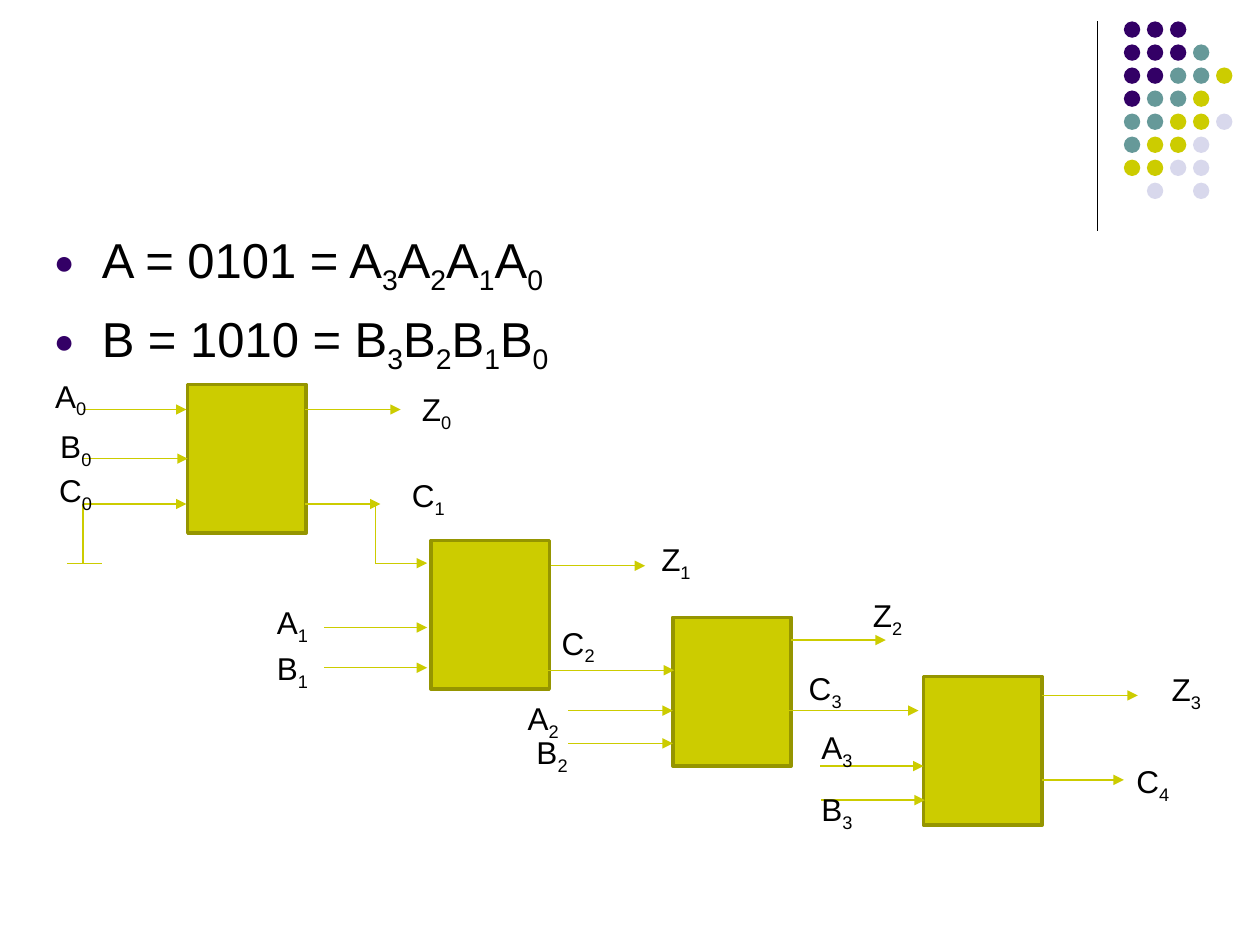
from dataclasses import dataclass

from lxml import etree
from pptx import Presentation
from pptx.dml.color import RGBColor
from pptx.enum.shapes import MSO_CONNECTOR, MSO_SHAPE
from pptx.enum.text import MSO_AUTO_SIZE
from pptx.oxml.ns import qn
from pptx.util import Inches, Pt

STRAIGHT = MSO_CONNECTOR.STRAIGHT
RECT, OVAL = MSO_SHAPE.RECTANGLE, MSO_SHAPE.OVAL
GROW = MSO_AUTO_SIZE.SHAPE_TO_FIT_TEXT
LEFT_SIDE = 1


@dataclass(frozen=True)
class Theme:
    font: str = "Arial"
    text: str = "000000"
    accent: str = "CCCC00"
    edge: str = "959500"
    purple: str = "330066"
    teal: str = "669999"
    pale: str = "D8D8EC"
    body_size: int = 28
    label_size: int = 18
    wire_width: float = 0.75
    edge_width: int = 2


def rgb(value):
    return RGBColor.from_string(value)


class Deck:
    def __init__(self, slide, theme):
        self.slide = slide
        self.theme = theme

    def shape(self, kind, at, fill, edge=None):
        sp = self.slide.shapes.add_shape(kind, *map(Inches, at))
        sp.shadow.inherit = False
        sp.fill.solid()
        sp.fill.fore_color.rgb = rgb(fill)
        if edge:
            sp.line.color.rgb = rgb(edge)
            sp.line.width = Pt(self.theme.edge_width)
        else:
            sp.line.fill.background()
        return sp

    def line(self, start, end, color=None, arrow=False):
        cx = self.slide.shapes.add_connector(STRAIGHT, *map(Inches, start + end))
        cx.line.color.rgb = rgb(color or self.theme.accent)
        cx.line.width = Pt(self.theme.wire_width)
        if arrow:
            etree.SubElement(cx.line._get_or_add_ln(), qn("a:tailEnd"), type="triangle")
        etree.SubElement(cx._element.spPr, qn("a:effectLst"))
        return cx

    def runs(self, p, parts, size):
        for text, baseline in parts:
            r = p.add_run()
            r.text = text
            style = {"name": self.theme.font, "size": Pt(size)}
            for key, value in style.items():
                setattr(r.font, key, value)
            r.font.color.rgb = rgb(self.theme.text)
            if baseline:
                r.font._element.set("baseline", str(baseline))

    def frame(self, at):
        tf = self.slide.shapes.add_textbox(*map(Inches, at)).text_frame
        tf.word_wrap = True
        return tf

    def label(self, name, left, top):
        width = 0.61 if name[0] == "C" else 0.47
        tf = self.frame((left, top, width, 0.44))
        tf.auto_size = GROW
        parts = [(name[0], 0), (name[1], -25000)]
        self.runs(tf.paragraphs[0], parts, self.theme.label_size)

    def bullets(self, at, items):
        tf = self.frame(at)
        for i, parts in enumerate(items):
            p = tf.add_paragraph() if i else tf.paragraphs[0]
            p.space_before = Pt(7)
            pPr = p._p.get_or_add_pPr()
            pPr.set("marL", str(Inches(0.38)))
            pPr.set("indent", str(-Inches(0.38)))
            color = etree.SubElement(pPr, qn("a:buClr"))
            etree.SubElement(color, qn("a:srgbClr"), val=self.theme.purple)
            etree.SubElement(pPr, qn("a:buSzPct"), val="70000")
            etree.SubElement(pPr, qn("a:buFont"), typeface=self.theme.font)
            etree.SubElement(pPr, qn("a:buChar"), char="●")
            self.runs(p, parts, self.theme.body_size)

    def dots(self, left, top, rows):
        pitch = 1.28 / 7
        colors = {"P": self.theme.purple, "T": self.theme.teal,
                  "Y": self.theme.accent, "L": self.theme.pale}
        for y, row in enumerate(rows):
            for x, key in enumerate(row):
                if key in colors:
                    at = (left + x * pitch, top + y * pitch, 0.13, 0.13)
                    self.shape(OVAL, at, colors[key])


DOT_ROWS = ["PPP", "PPPT", "PPTTY", "PTTY", "TTYYL", "TYYL", "YYLL", ".L.L"]
ADDERS = [(1.49, 3.05), (3.42, 4.29), (5.34, 4.9), (7.33, 5.37)]
ARROWS = [
    (0.66, 3.25, 1.48), (0.66, 4, 1.48), (2.42, 3.25, 3.18), (2.42, 4, 3.02),
    (2.57, 4.98, 3.39), (2.57, 5.3, 3.39), (2.98, 4.47, 3.39),
    (4.37, 4.49, 5.12), (4.33, 5.32, 5.35), (4.51, 5.64, 5.34), (4.51, 5.9, 5.34),
    (6.28, 5.08, 7.03), (6.26, 5.64, 7.29), (6.51, 6.08, 7.33), (6.52, 6.35, 7.34),
    (8.27, 5.52, 9.03), (8.27, 6.19, 8.92),
]
PLAIN_WIRES = [
    ((0.66, 4), (0.66, 4.47)),
    ((0.53, 4.47), (0.81, 4.47)),
    ((2.98, 4), (2.98, 4.47)),
]
LABELS = {
    "A0": (0.34, 2.94), "B0": (0.38, 3.34), "C0": (0.37, 3.69),
    "Z0": (3.25, 3.05), "C1": (3.17, 3.73),
    "A1": (2.1, 4.74), "B1": (2.1, 5.1), "Z1": (5.15, 4.24), "C2": (4.36, 4.9),
    "A2": (4.09, 5.5), "B2": (4.16, 5.77), "Z2": (6.83, 4.68), "C3": (6.32, 5.26),
    "A3": (6.42, 5.73), "B3": (6.42, 6.22), "Z3": (9.2, 5.27), "C4": (8.92, 6),
}


def operand(name, bits):
    parts = [(f"{name} = {bits} = ", 0)]
    for i in reversed(range(len(bits))):
        parts += [(name, 0), (str(i), -25000)]
    return parts


def main():
    prs = Presentation()
    prs.slide_width, prs.slide_height = Inches(10), Inches(7.5)
    theme = Theme()
    s = Deck(prs.slides.add_slide(prs.slide_layouts[6]), theme)

    s.line((8.71, 0.17), (8.71, 1.83), theme.text)
    s.dots(8.92, 0.17, DOT_ROWS)
    s.bullets((0.33, 1.77, 5, 1.26), [operand("A", "0101"), operand("B", "1010")])

    adders = [s.shape(RECT, at + (0.94, 1.18), theme.accent, theme.edge) for at in ADDERS]
    for left, y, right in ARROWS:
        s.line((left, y), (right, y), arrow=True)
    b0_wire = s.line((0.66, 3.64), (1.49, 3.64), arrow=True)
    b0_wire.end_connect(adders[0], LEFT_SIDE)
    for start, end in PLAIN_WIRES:
        s.line(start, end)
    for name, at in LABELS.items():
        s.label(name, *at)

    prs.save("out.pptx")


if __name__ == "__main__":
    main()
